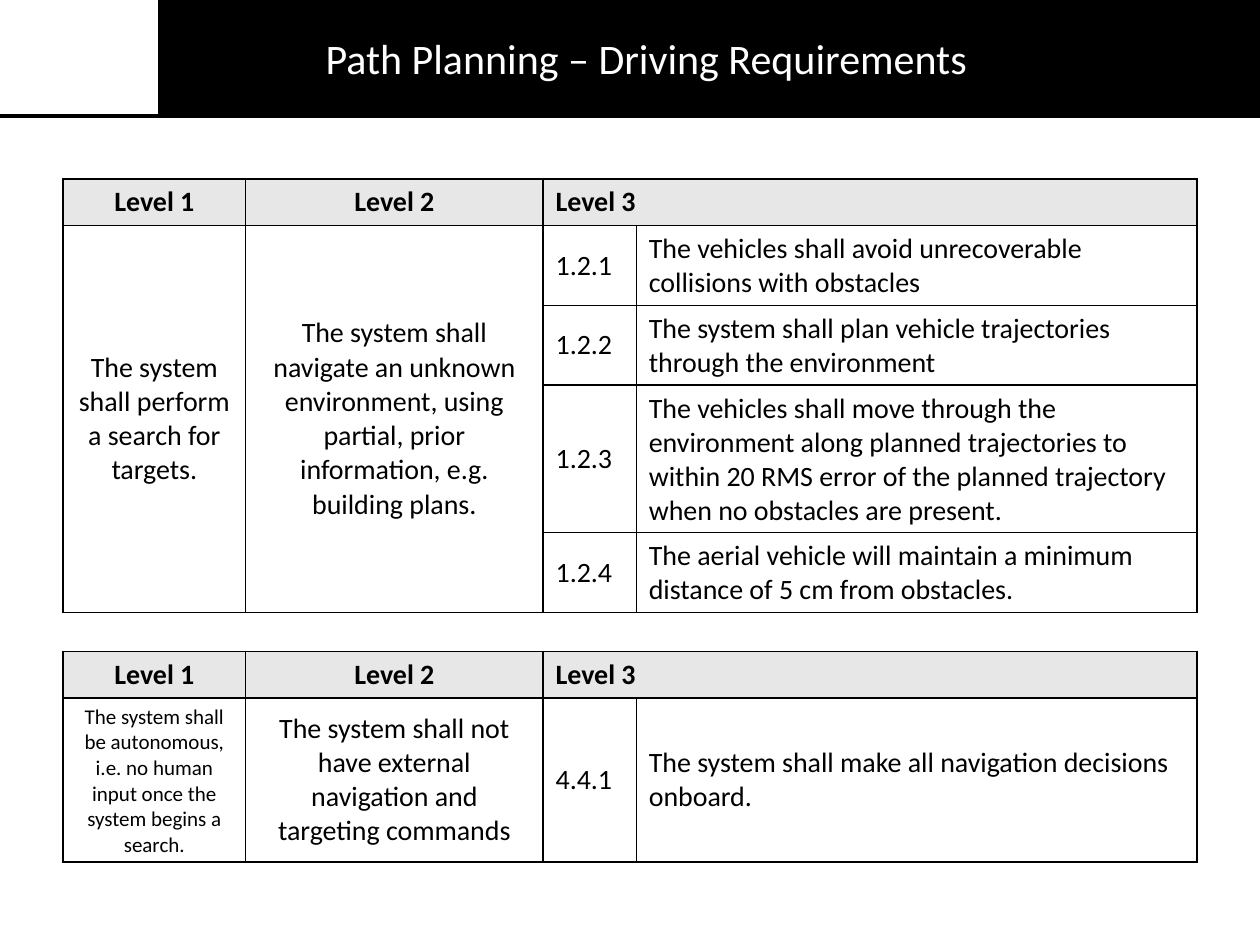
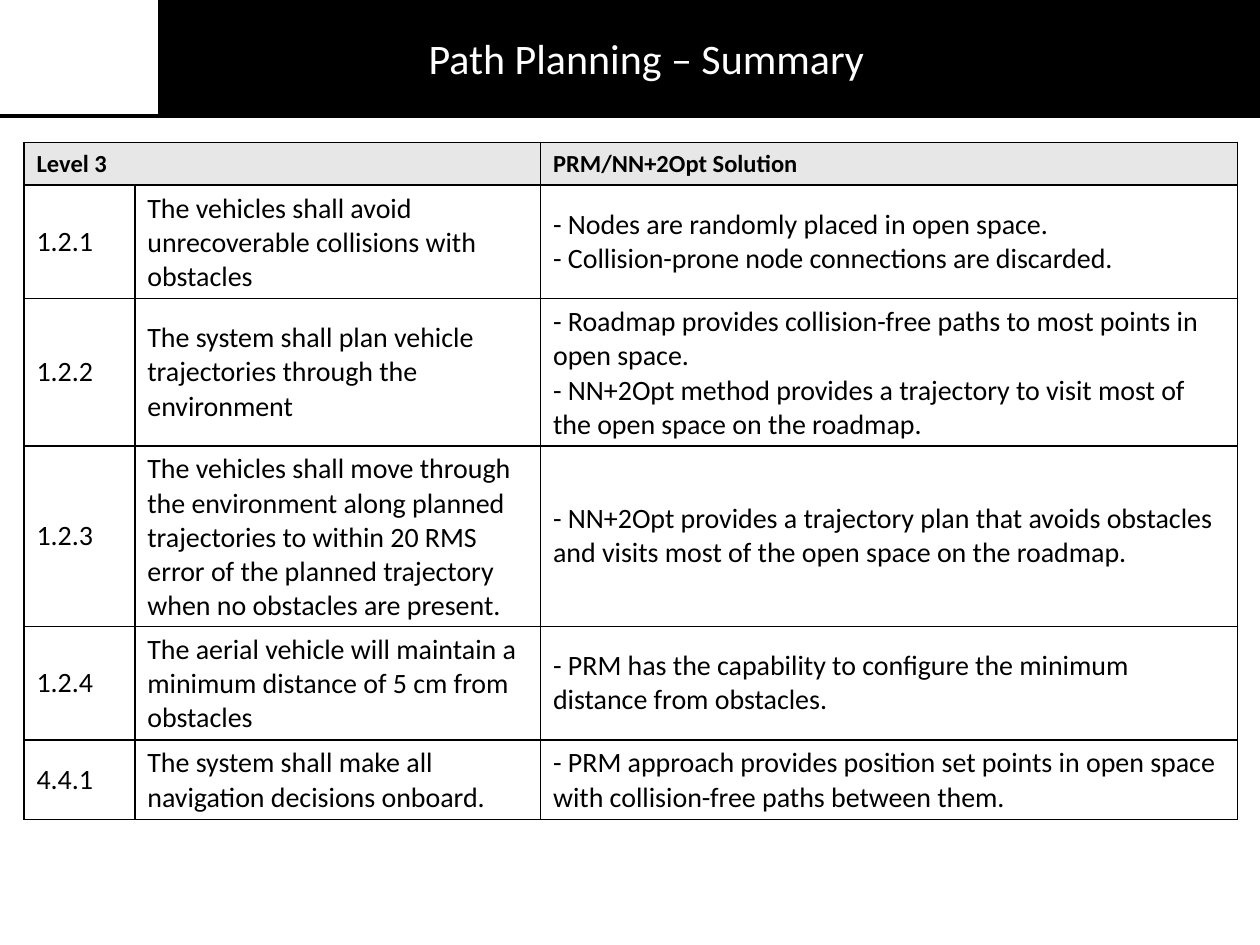
from lxml import etree
from pptx import Presentation
from pptx.dml.color import RGBColor
from pptx.enum.shapes import MSO_CONNECTOR, MSO_SHAPE
from pptx.enum.text import MSO_ANCHOR, PP_ALIGN
from pptx.oxml import parse_xml
from pptx.oxml.ns import qn
from pptx.util import Inches, Pt

BLACK = RGBColor(0x00, 0x00, 0x00)
WHITE = RGBColor(0xFF, 0xFF, 0xFF)
GREY = RGBColor(0xE7, 0xE7, 0xE7)
FONT = "Calibri"
BODY = 16
LEFT, CENTER = PP_ALIGN.LEFT, PP_ALIGN.CENTER
MIDDLE = MSO_ANCHOR.MIDDLE
LINE, RECT = MSO_CONNECTOR.STRAIGHT, MSO_SHAPE.RECTANGLE
NS = "http://schemas.openxmlformats.org/drawingml/2006/main"
EDGE = (
    '<a:{side} xmlns:a="{ns}" w="12700"><a:solidFill><a:srgbClr val="{color}"/>'
    '</a:solidFill><a:prstDash val="solid"/></a:{side}>'
)

# Requirement texts used on both slides
AVOID = "The vehicles shall avoid unrecoverable collisions with obstacles"
PLAN = "The system shall plan vehicle trajectories through the environment"
MOVE = (
    "The vehicles shall move through the environment along planned trajectories "
    "to within 20 RMS error of the planned trajectory when no obstacles are present."
)
SPACE = "The aerial vehicle will maintain a minimum distance of 5 cm from obstacles"
DECIDE = "The system shall make all navigation decisions onboard."


def add_page(title):
    """Add a slide with the black title band and its rule."""
    page = deck.slides.add_slide(deck.slide_layouts[6])
    rule = page.shapes.add_connector(LINE, 0, Inches(0.92), Inches(10), Inches(0.92))
    rule.line.color.rgb = BLACK
    rule.line.width = Pt(2)
    etree.SubElement(rule._element.spPr, qn("a:effectLst"))

    band = page.shapes.add_shape(RECT, Inches(1.26), 0, Inches(8.74), Inches(0.91))
    band.shadow.inherit = False
    band.fill.solid()
    band.fill.fore_color.rgb = BLACK
    band.line.color.rgb = BLACK
    band.line.width = Pt(0.75)

    box = page.shapes.add_textbox(Inches(1.31), Inches(0.21), Inches(7.64), Inches(0.5))
    box.text_frame.word_wrap = True
    box.text_frame.text = title
    para = box.text_frame.paragraphs[0]
    para.alignment = CENTER
    para.font.name = FONT
    para.font.size = Pt(24)
    para.font.color.rgb = WHITE
    return page


def add_grid(page, left, top, widths, heights, rows, spans, centered=0, head=BODY):
    """Add a ruled table; the first columns may be centered, None is merged away."""
    frame = page.shapes.add_table(
        len(heights), len(widths), Inches(left), Inches(top),
        Inches(sum(widths)), Inches(sum(heights)))
    grid = frame.table
    grid.first_row = grid.horz_banding = False
    for col, width in zip(grid.columns, widths):
        col.width = Inches(width)
    for row, height in zip(grid.rows, heights):
        row.height = Inches(height)
    for start, end in spans:
        grid.cell(*start).merge(grid.cell(*end))

    for r, row in enumerate(rows):
        for c, text in enumerate(row):
            cell = grid.cell(r, c)
            cell.vertical_anchor = MIDDLE
            cell.fill.solid()
            cell.fill.fore_color.rgb = WHITE if r else GREY
            props = cell._tc.get_or_add_tcPr()
            for i, side in enumerate(("lnL", "lnR", "lnT", "lnB")):
                props.insert(i, parse_xml(EDGE.format(side=side, ns=NS, color=BLACK)))
            if text is None:
                continue
            cell.text_frame.text = text
            for para in cell.text_frame.paragraphs:
                para.alignment = CENTER if c < centered else LEFT
                para.font.name = FONT
                para.font.size = Pt(BODY if r else head)
                para.font.bold = r == 0
                para.font.color.rgb = BLACK
    return grid


deck = Presentation()
deck.slide_width, deck.slide_height = Inches(10), Inches(7.5)

# Slide 1: driving requirements
page = add_page("Path Planning – Driving Requirements")
widths = [1.45, 2.36, 0.74, 4.45]
levels = ["Level 1", "Level 2", "Level 3", None]
search = [
    levels,
    ["The system shall perform a search for targets.",
     "The system shall navigate an unknown environment, using partial, "
     "prior information, e.g. building plans.",
     "1.2.1", AVOID],
    [None, None, "1.2.2", PLAN],
    [None, None, "1.2.3", MOVE],
    [None, None, "1.2.4", SPACE + "."],
]
add_grid(page, 0.5, 1.42, widths, [0.37, 0.63, 0.63, 1.17, 0.63], search,
         [((0, 2), (0, 3)), ((1, 0), (4, 0)), ((1, 1), (4, 1))], centered=2)

control = [
    levels,
    ["The system shall be autonomous, i.e. no human input once the system begins a search.",
     "The system shall not have external navigation and targeting commands",
     "4.4.1", DECIDE],
]
grid = add_grid(page, 0.5, 5.17, widths, [0.37, 1.3], control,
                [((0, 2), (0, 3))], centered=2)
grid.cell(1, 0).text_frame.paragraphs[0].font.size = Pt(12)

# Slide 2: how the solution meets each requirement
page = add_page("Path Planning – Summary")
answers = [
    ["Level 3", None, "PRM/NN+2Opt Solution"],
    ["1.2.1", AVOID,
     "- Nodes are randomly placed in open space.\n"
     "- Collision-prone node connections are discarded."],
    ["1.2.2", PLAN,
     "- Roadmap provides collision-free paths to most points in open space.\n"
     "- NN+2Opt method provides a trajectory to visit most of the open space on the roadmap."],
    ["1.2.3", MOVE,
     "- NN+2Opt provides a trajectory plan that avoids obstacles "
     "and visits most of the open space on the roadmap."],
    ["1.2.4", SPACE,
     "- PRM has the capability to configure the minimum distance from obstacles."],
    ["4.4.1", DECIDE,
     "- PRM approach provides position set points in open space "
     "with collision-free paths between them."],
]
add_grid(page, 0.19, 1.13, [0.88, 3.22, 5.53], [0.34, 0.9, 1.17, 1.43, 0.9, 0.63],
         answers, [((0, 0), (0, 1))], head=14)

deck.save("out.pptx")
